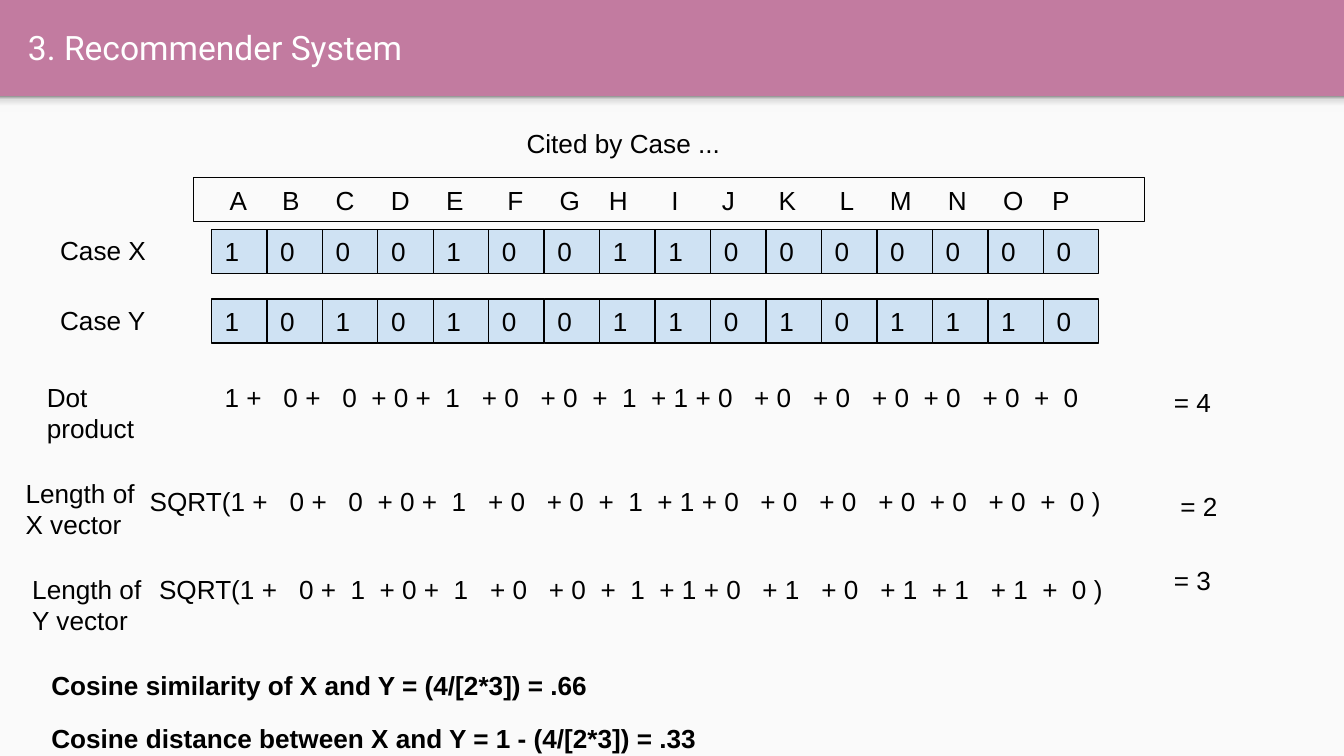
from dataclasses import dataclass

from lxml.etree import SubElement
from pptx import Presentation
from pptx.dml.color import RGBColor
from pptx.enum.shapes import MSO_SHAPE
from pptx.enum.text import MSO_ANCHOR, PP_ALIGN
from pptx.oxml import parse_xml
from pptx.oxml.ns import nsdecls, qn
from pptx.util import Pt


@dataclass(frozen=True)
class Theme:
    header: str = "C27BA0"
    panel: str = "FAFAFA"
    cell: str = "CFE2F3"
    ink: str = "000000"
    title_ink: str = "FFFFFF"
    shade: tuple = ((0, "F9F9F9"), (36, "F9F9F9"), (80, "DEDEDE"), (100, "999999"))
    title_font: str = "Roboto"
    body_font: str = "Arial"
    title_size: float = 18
    body_size: float = 14
    inset: float = 7.2
    line_width: float = 0.75


THEME = Theme()

CASE_X = "1000100110000000"
CASE_Y = "1010100110101110"
PRODUCT = [int(x) * int(y) for x, y in zip(CASE_X, CASE_Y)]

# Sixteen terms, split at the tab stops
SUM_PATTERN = "\t".join(
    ["{} +", "{} +", "{}", "+ {} +", "{}", "+ {}", "+ {}", "+", "{}",
     "+ {} + {}"] + ["+ {}"] * 5 + ["+", "{}"])
SUM_STOPS = [31.5, 63, 78.6, 118.3, 137.8, 169.3, 197, 212.9, 228.5,
             283.7, 315.2, 346.8, 374.4, 406, 433.6, 449.5]
LETTER_STOPS = [28.2, 56.9, 86.4, 116, 148.8, 176.8, 203.2, 236.7,
                263.8, 294.2, 326.8, 353.8, 384.9, 414.4, 440.7]
SQRT_WIDTH = 43.5
LABEL_WIDTH = 80
CELL_LEFT, CELL_WIDTH, CELL_HEIGHT = 113.3, 29.71, 23.6


def write(text_frame, text, *, size=THEME.body_size, font=THEME.body_font,
          color=THEME.ink, bold=False, anchor=MSO_ANCHOR.TOP, stops=()):
    text_frame.word_wrap = True
    text_frame.vertical_anchor = anchor
    text_frame.margin_left = text_frame.margin_right = Pt(THEME.inset)
    text_frame.margin_top = text_frame.margin_bottom = Pt(THEME.inset)
    paragraph = text_frame.paragraphs[0]
    paragraph.alignment = PP_ALIGN.LEFT
    if stops:
        tab_list = SubElement(paragraph._p.get_or_add_pPr(), qn("a:tabLst"))
        for stop in stops:
            SubElement(tab_list, qn("a:tab"), pos=str(int(Pt(stop))), algn="l")
    run = paragraph.add_run()
    run.text = text
    run.font.size = Pt(size)
    run.font.name = font
    run.font.bold = bold
    run.font.color.rgb = RGBColor.from_string(color)


class SlideBuilder:
    def __init__(self, presentation, theme):
        self.theme = theme
        self.slide = presentation.slides.add_slide(presentation.slide_layouts[6])
        background = self.slide.background.fill
        background.solid()
        background.fore_color.rgb = RGBColor.from_string(theme.header)

    def rectangle(self, left, top, width, height, fill=None, outlined=False):
        shape = self.slide.shapes.add_shape(
            MSO_SHAPE.RECTANGLE, Pt(left), Pt(top), Pt(width), Pt(height))
        shape.shadow.inherit = False
        if fill:
            shape.fill.solid()
            shape.fill.fore_color.rgb = RGBColor.from_string(fill)
        else:
            shape.fill.background()
        if outlined:
            shape.line.color.rgb = RGBColor.from_string(self.theme.ink)
            shape.line.width = Pt(self.theme.line_width)
        else:
            shape.line.fill.background()
        return shape

    def shade(self, left, top, width, height):
        shape = self.rectangle(left, top, width, height)
        stops = "".join(
            f'<a:gs pos="{position * 1000}"><a:srgbClr val="{color}"/></a:gs>'
            for position, color in self.theme.shade)
        gradient = parse_xml(
            f'<a:gradFill {nsdecls("a")} rotWithShape="1"><a:gsLst>{stops}</a:gsLst>'
            '<a:lin ang="16200000" scaled="0"/></a:gradFill>')
        properties = shape._element.spPr
        properties.replace(properties.find(qn("a:noFill")), gradient)

    def text(self, text, left, top, width, height, **text_format):
        box = self.slide.shapes.add_textbox(Pt(left), Pt(top), Pt(width), Pt(height))
        write(box.text_frame, text, **text_format)

    def cells(self, bits, top):
        for column, bit in enumerate(bits):
            shape = self.rectangle(CELL_LEFT + column * CELL_WIDTH, top, CELL_WIDTH,
                                   CELL_HEIGHT, self.theme.cell, outlined=True)
            write(shape.text_frame, bit, anchor=MSO_ANCHOR.MIDDLE)


def main():
    presentation = Presentation()
    presentation.slide_width, presentation.slide_height = Pt(720), Pt(405)
    builder = SlideBuilder(presentation, THEME)

    # Header and content panel
    builder.rectangle(0, 51.6, 720, 353.4, THEME.panel)
    builder.shade(0, 51.6, 720, 8.6)
    builder.text("3. Recommender System", 7.9, 1.4, 694.8, 47.5,
                 size=THEME.title_size, font=THEME.title_font,
                 color=THEME.title_ink, anchor=MSO_ANCHOR.MIDDLE)

    # Citation vectors
    for name, bits, cell_top, label_top in (
            ("Case X", CASE_X, 122.9, 118.5), ("Case Y", CASE_Y, 160.2, 155.9)):
        builder.cells(bits, cell_top)
        builder.text(name, 25.1, label_top, 70.6, 28.1)

    # Column headings
    builder.text("Cited by Case ...", 275, 61.2, 164.9, 28.1)
    builder.rectangle(103.7, 95, 509.5, CELL_HEIGHT, outlined=True)
    builder.text("\t".join("ABCDEFGHIJKLMNOP"), 115.9, 91.6, 473, 28.1,
                 stops=LETTER_STOPS)

    # Dot product and vector lengths
    x_stops = [stop + SQRT_WIDTH for stop in SUM_STOPS]
    y_stops = x_stops[:1] + [stop - 3.9 for stop in x_stops[1:]]
    root_pattern = f"SQRT({SUM_PATTERN} )"
    calculations = (
        ("Dot product", 18, 197.1, SUM_PATTERN.format(*PRODUCT), 113.3, 197.3,
         499.7, SUM_STOPS, "= 4", 621.8, 199.8),
        ("Length of X vector", 6.6, 248.5, root_pattern.format(*CASE_X), 73.1, 252.9,
         526.3, x_stops, "= 2", 625.3, 255.6),
        ("Length of Y vector", 10.2, 299.9, root_pattern.format(*CASE_Y), 78.1, 299.9,
         526.3, y_stops, "= 3", 621.8, 295.2),
    )
    for (label, label_left, label_top, formula, formula_left, formula_top,
         formula_width, stops, result, result_left, result_top) in calculations:
        builder.text(label, label_left, label_top, LABEL_WIDTH, 41.8)
        builder.text(formula, formula_left, formula_top, formula_width, 42.5, stops=stops)
        builder.text(result, result_left, result_top, 78.5, 28.1)

    # Conclusions
    for conclusion, top in (
            ("Cosine similarity of X and Y = (4/[2*3]) = .66", 351.5),
            ("Cosine distance between X and Y = 1 - (4/[2*3]) = .33", 380)):
        builder.text(conclusion, 20.4, top, 663.8, 28.1, bold=True)

    presentation.save("out.pptx")


if __name__ == "__main__":
    main()
